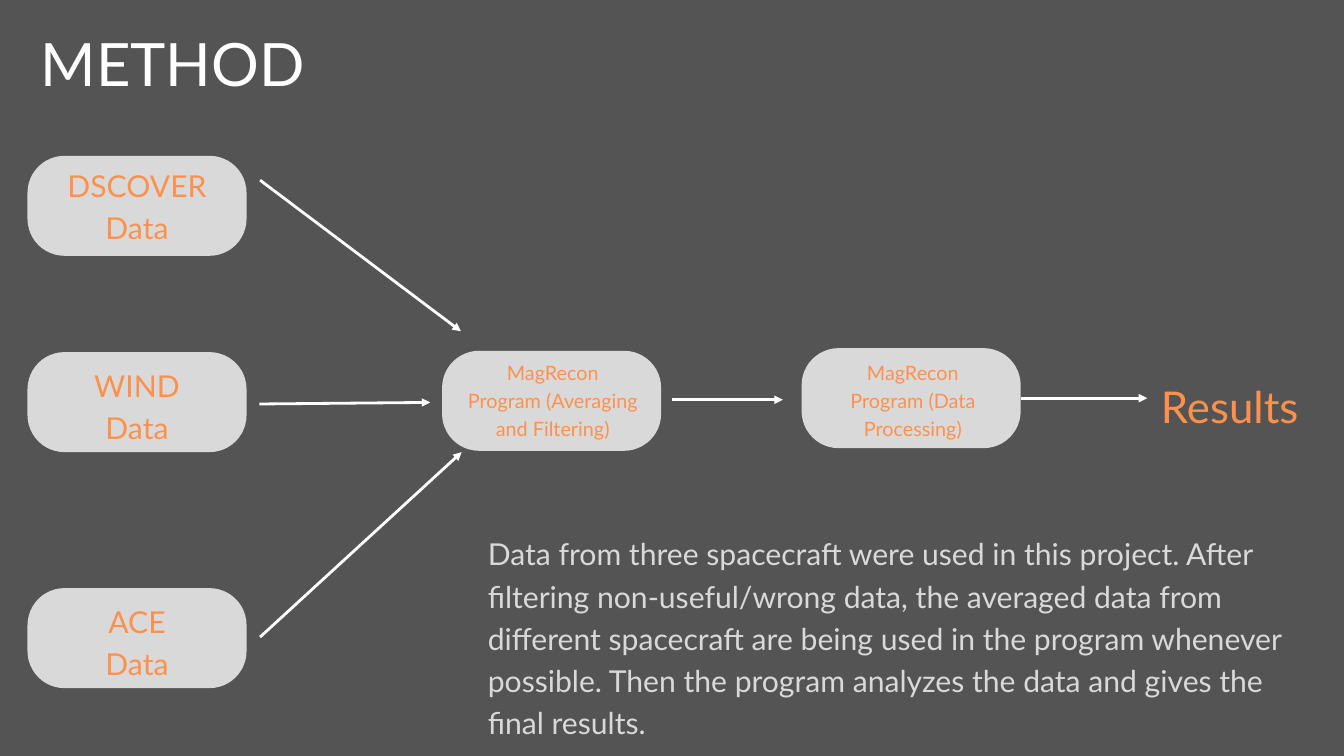
from dataclasses import dataclass

from lxml import etree
from pptx import Presentation
from pptx.dml.color import RGBColor
from pptx.enum.shapes import MSO_CONNECTOR, MSO_SHAPE
from pptx.enum.text import PP_ALIGN
from pptx.oxml.ns import qn
from pptx.shapes.autoshape import Shape
from pptx.shapes.connector import Connector
from pptx.slide import Slide
from pptx.util import Cm, Pt

ROUNDED = MSO_SHAPE.ROUNDED_RECTANGLE
STRAIGHT = MSO_CONNECTOR.STRAIGHT
CENTER = PP_ALIGN.CENTER
LEFT = PP_ALIGN.LEFT

FONT = "Lato"
WHITE, GREY, ORANGE, DARK = "FFFFFF", "D9D9D9", "FF914D", "545454"
NODE_WIDTH, NODE_HEIGHT = 8.28, 3.78
RIGHT_SIDE = 3


@dataclass
class Label:
    text: str
    left: float
    top: float
    width: float
    height: float
    size: float
    spacing: float
    color: str = ORANGE
    align: PP_ALIGN = CENTER


@dataclass
class Node:
    left: float
    top: float
    label: Label


@dataclass
class Arrow:
    start: tuple[float, float]
    end: tuple[float, float]


def source_node(name: str, top: float, label_top: float) -> Node:
    return Node(1.04, top, Label(f"{name}\nData", 2.41, label_top, 5.54, 3.15, 32.3, 45.2))


def program_node(task: str, left: float, top: float, label_left: float, label_width: float) -> Node:
    text = f"MagRecon\nProgram ({task})"
    return Node(left, top, Label(text, label_left, 13.49, label_width, 4.17, 21.2, 29.7))


SOURCES = [
    source_node("DSCOVER", 5.89, 6.1),
    source_node("WIND", 13.31, 13.64),
    source_node("ACE", 22.23, 22.56),
]
FILTERING = program_node("Averaging and Filtering", 16.71, 13.26, 17.4, 6.99)
PROCESSING = program_node("Data Processing", 30.3, 13.16, 31.09, 6.83)

ARROWS = [
    Arrow((9.83, 6.81), (17.42, 12.52)),
    Arrow((9.8, 15.27), (16.26, 15.21)),
    Arrow((9.83, 24.08), (17.45, 17.09)),
    Arrow((25.4, 15.11), (29.59, 15.11)),
]
RESULT_ARROW = Arrow((38.58, 15.05), (43.36, 15.05))

SUMMARY = (
    "Data from three spacecraft were used in this project. After filtering "
    "non-useful/wrong data, the averaged data from different spacecraft are being used "
    "in the program whenever possible. Then the program analyzes the data and gives "
    "the final results."
)
LABELS = [
    Label("METHOD", 1.04, 0.58, 10.97, 3.05, 64, 89.6, WHITE),
    Label("Results", 39.62, 14.02, 13.72, 2.24, 46.9, 65.6),
    Label(SUMMARY, 18.44, 20.02, 30.86, 7.92, 32.3, 45.2, GREY, LEFT),
]


def color_of(value: str) -> RGBColor:
    return RGBColor.from_string(value)


def draw_label(page: Slide, label: Label) -> None:
    box = page.shapes.add_textbox(Cm(label.left), Cm(label.top), Cm(label.width), Cm(label.height))
    frame = box.text_frame
    frame.word_wrap = True
    frame.margin_left = frame.margin_right = frame.margin_top = frame.margin_bottom = 0
    frame.text = label.text
    for para in frame.paragraphs:
        para.alignment = label.align
        para.line_spacing = Pt(label.spacing)
        for span in para.runs:
            span.font.name = FONT
            span.font.size = Pt(label.size)
            span.font.color.rgb = color_of(label.color)


def draw_node(page: Slide, node: Node) -> Shape:
    shape = page.shapes.add_shape(
        ROUNDED, Cm(node.left), Cm(node.top), Cm(NODE_WIDTH), Cm(NODE_HEIGHT)
    )
    shape.adjustments[0] = 0.37
    shape.shadow.inherit = False
    shape.fill.solid()
    shape.fill.fore_color.rgb = color_of(GREY)
    shape.line.fill.background()
    draw_label(page, node.label)
    return shape


def draw_arrow(page: Slide, arrow: Arrow) -> Connector:
    points = [Cm(value) for value in (*arrow.start, *arrow.end)]
    connector = page.shapes.add_connector(STRAIGHT, *points)
    connector.line.width = Pt(3)
    connector.line.color.rgb = color_of(WHITE)
    properties = connector._element.spPr
    etree.SubElement(properties.find(qn("a:ln")), qn("a:tailEnd"), type="triangle")
    etree.SubElement(properties, qn("a:effectLst"))
    return connector


def main() -> None:
    deck = Presentation()
    deck.slide_width, deck.slide_height = Cm(50.8), Cm(28.575)
    page = deck.slides.add_slide(deck.slide_layouts[6])
    page.background.fill.solid()
    page.background.fill.fore_color.rgb = color_of(DARK)

    for node in [*SOURCES, FILTERING]:
        draw_node(page, node)
    processing = draw_node(page, PROCESSING)
    for arrow in ARROWS:
        draw_arrow(page, arrow)
    draw_arrow(page, RESULT_ARROW).begin_connect(processing, RIGHT_SIDE)
    for label in LABELS:
        draw_label(page, label)

    deck.save("out.pptx")


if __name__ == "__main__":
    main()
